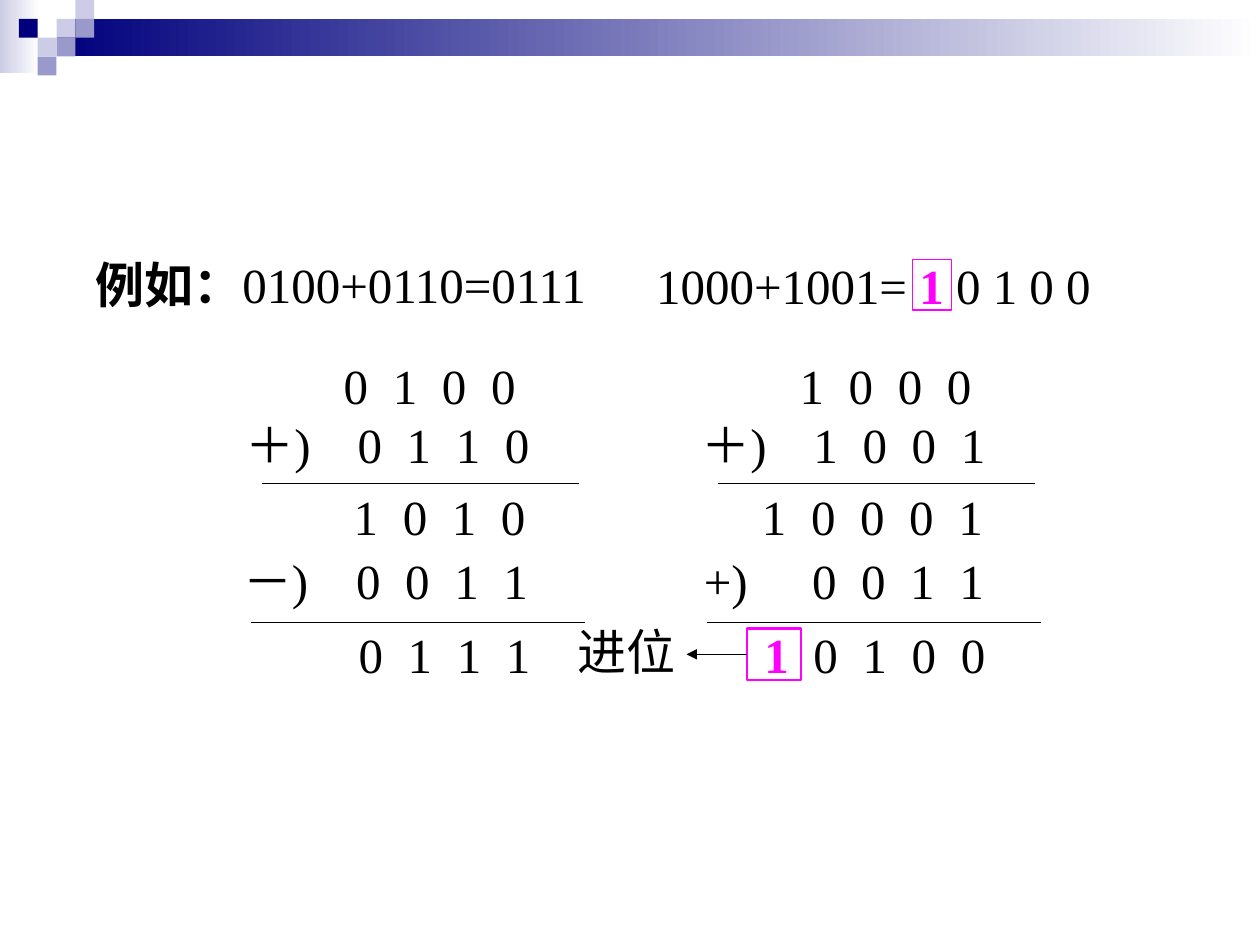
"""Build a slide on BCD addition with worked column sums."""
from dataclasses import dataclass

from lxml.etree import SubElement
from pptx import Presentation
from pptx.dml.color import RGBColor as RGB
from pptx.enum.shapes import MSO_CONNECTOR as CONN, MSO_SHAPE as SHAPE
from pptx.oxml.ns import qn
from pptx.util import Cm, Pt


@dataclass(frozen=True)
class Theme:
    ink: str = "000000"
    accent: str = "FF00FF"
    navy: str = "00007D"
    mid: str = "9999CC"
    pale: str = "CCCCE6"
    white: str = "FFFFFF"
    font: str = "Times New Roman"
    size: float = 28
    thin: float = 0.75
    thick: float = 1.5


T = Theme()
PITCH = 0.99
ROW_H = 1.45


def write(p, text, color=T.ink, bold=False):
    r = p.add_run()
    r.text = text
    r.font.name, r.font.size, r.font.bold = T.font, Pt(T.size), bold
    r.font.color.rgb = RGB.from_string(color)


def digits(number):
    return "\t".join(number)


class Painter:
    def __init__(self, slide, theme):
        self.s, self.t = slide, theme

    def text(self, x, y, w, *lines, first=PITCH):
        """Each line is a list of (text, format) runs; first is the first tab stop, or one per line."""
        tb = self.s.shapes.add_textbox(Cm(x), Cm(y), Cm(w), Cm(ROW_H * len(lines)))
        tf = tb.text_frame
        tf.word_wrap = True
        stops = first if isinstance(first, tuple) else (first,) * len(lines)
        for i, (runs, start) in enumerate(zip(lines, stops)):
            p = tf.add_paragraph() if i else tf.paragraphs[0]
            if any("\t" in text for text, _ in runs):
                tabs = SubElement(p._p.get_or_add_pPr(), qn("a:tabLst"))
                for n in range(4):
                    SubElement(tabs, qn("a:tab"), pos=str(Cm(start + n * PITCH)), algn="l")
            for text, style in runs:
                write(p, text, **style)

    def rect(self, x, y, w, h, fill=None, fade=None, line=None, width=T.thin):
        sp = self.s.shapes.add_shape(SHAPE.RECTANGLE, Cm(x), Cm(y), Cm(w), Cm(h))
        sp.shadow.inherit = False
        if fade:
            sp.fill.gradient()
            sp.fill.gradient_angle = 0
            for stop, color in zip(sp.fill.gradient_stops, (fill, fade)):
                stop.color.rgb = RGB.from_string(color)
        elif fill:
            sp.fill.solid()
            sp.fill.fore_color.rgb = RGB.from_string(fill)
        else:
            sp.fill.background()
        if line:
            sp.line.color.rgb = RGB.from_string(line)
            sp.line.width = Pt(width)
        else:
            sp.line.fill.background()
        return sp

    def line(self, x1, y1, x2, y2, start=None, arrow=False):
        c = self.s.shapes.add_connector(CONN.STRAIGHT, Cm(x1), Cm(y1), Cm(x2), Cm(y2))
        c.line.color.rgb = RGB.from_string(self.t.ink)
        c.line.width = Pt(self.t.thin)
        if arrow:
            SubElement(c.line._get_or_add_ln(), qn("a:tailEnd"), type="triangle")
        SubElement(c._element.spPr, qn("a:effectLst"))
        if start is not None:
            c.begin_connect(start, 1)

    def banner(self):
        unit = 0.38
        self.rect(0, 0, 0.79, 1.47, self.t.pale, fade=self.t.white)
        self.rect(3 * unit, unit, 24.26, 2 * unit, self.t.navy, fade=self.t.white)
        squares = {self.t.pale: [(3, 1), (4, 0), (2, 2)],
                   self.t.mid: [(4, 1), (3, 2), (2, 3)],
                   self.t.navy: [(1, 1)]}
        for color, cells in squares.items():
            for col, row in cells:
                self.rect(col * unit, row * unit, unit, unit, color)

    def sum(self, x, addends, total, total_x, sign, sign_x, adjust, result, result_x):
        """Draw one column sum with its correction step."""
        a, b = addends
        self.text(x, 7.04, 6.35, [("\t" + digits(a), {})], [("＋)\t" + digits(b), {})],
                  first=(1.98, 2.26))
        self.line(x + 0.58, 9.75, x + 6.98, 9.75)
        self.text(total_x, 9.68, PITCH * len(total) + 0.1, [(digits(total), {})])
        self.text(sign_x, 10.97, 2.06, [(sign, {})])
        self.text(x + 2.23, 10.97, 4.06, [(digits(adjust), {})])
        self.line(x + 0.36, 12.55, x + 7.09, 12.55)
        self.text(result_x, 12.47, 5.05 if len(result) > 1 else 4.06, result)


def main():
    prs = Presentation()
    prs.slide_width, prs.slide_height = Cm(25.4), Cm(19.05)
    d = Painter(prs.slides.add_slide(prs.slide_layouts[6]), T)
    carry = ("1", {"color": T.accent, "bold": True})

    d.banner()
    d.text(1.68, 5, 10.85, [("例如：", {"bold": True}), ("0100+0110=0111", {})])
    d.sum(4.7, ("0100", "0110"), "1010", 6.88, "－)", 4.65, "0011",
          [(digits("0111"), {})], 6.98)
    d.sum(13.89, ("1000", "1001"), "10001", 15.11, "+)", 13.94, "0011",
          [carry, ("\t" + digits("0100"), {})], 15.16)
    carry_box = d.rect(15.06, 12.67, 1.09, 1.04, line=T.accent, width=T.thick)
    d.rect(18.39, 5.23, 0.79, 1.02, line=T.accent)
    d.text(12.98, 5.03, 9.4, [("1000+1001= ", {}), carry, (" 0 1 0 0", {})])
    d.line(15.06, 13.19, 13.84, 13.19, start=carry_box, arrow=True)
    d.text(11.4, 12.4, 2.56, [("进位", {})])
    prs.save("out.pptx")


if __name__ == "__main__":
    main()
